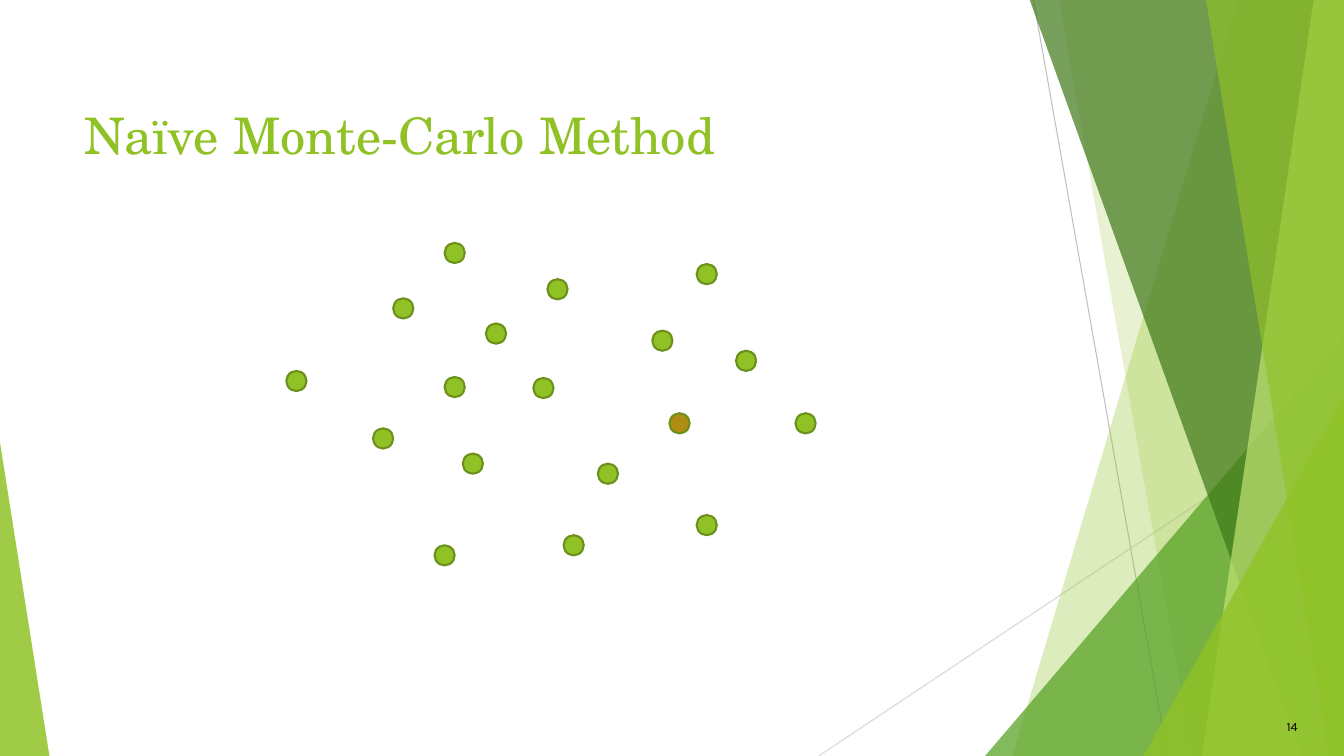
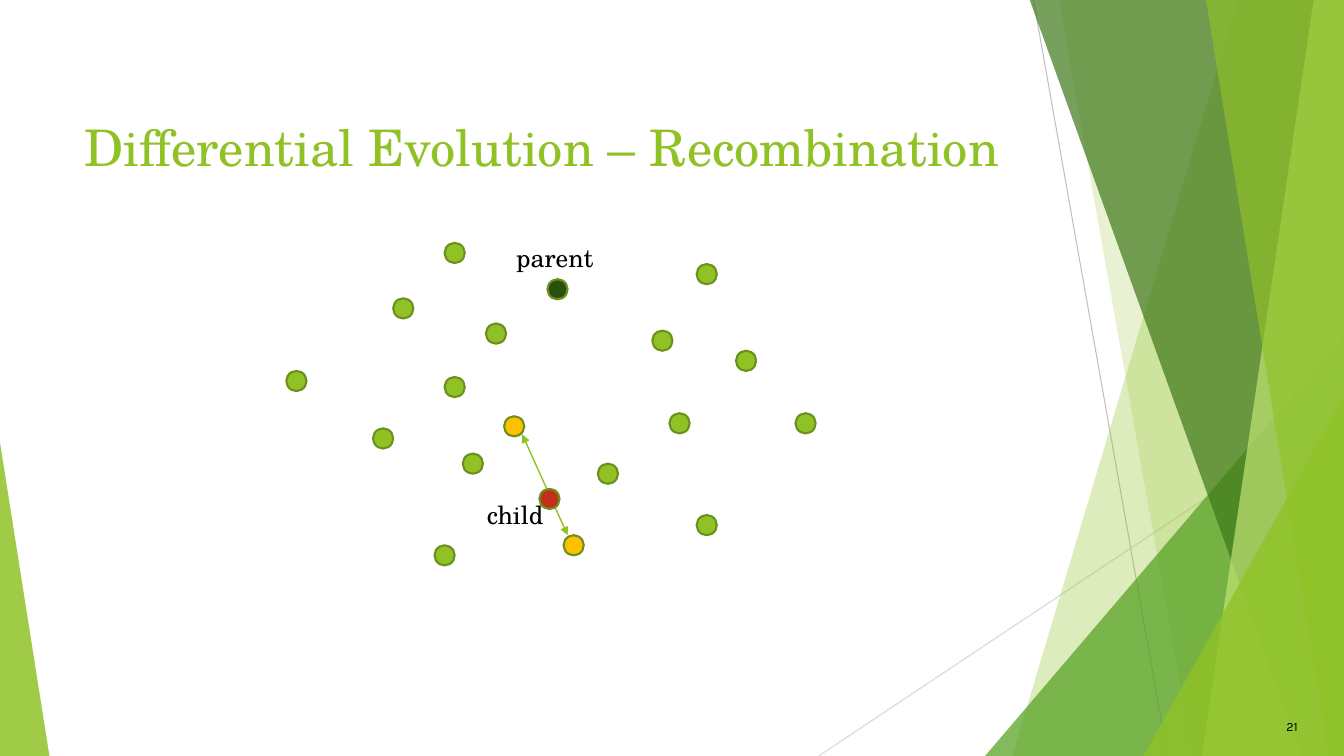
"""Two slides on sampling a population: Monte-Carlo and Differential Evolution."""
from lxml.etree import SubElement
from pptx import Presentation
from pptx.dml.color import RGBColor
from pptx.enum.shapes import MSO_CONNECTOR, MSO_SHAPE
from pptx.enum.text import MSO_ANCHOR, MSO_AUTO_SIZE, PP_ALIGN
from pptx.oxml.ns import qn
from pptx.util import Inches, Pt

WIDTH, HEIGHT, BLEED = 13.33, 7.5, -0.01
SERIF, SANS = "TeX Gyre Schola", "Karla"
LIME = RGBColor(0x90, 0xC2, 0x26)
PALE_LIME = RGBColor(0xC0, 0xE4, 0x74)
GREEN = RGBColor(0x54, 0xA0, 0x21)
DARK_GREEN = RGBColor(0x3F, 0x78, 0x19)
FOREST = RGBColor(0x2A, 0x50, 0x10)
OLIVE = RGBColor(0x6B, 0x90, 0x1C)
OCHRE = RGBColor(0xAF, 0x8C, 0x14)
AMBER = RGBColor(0xFF, 0xC0, 0x00)
RED = RGBColor(0xC4, 0x2F, 0x1A)
GREY = RGBColor(0xBF, 0xBF, 0xBF)
LIGHT_GREY = RGBColor(0xD9, 0xD9, 0xD9)
BLACK = RGBColor(0, 0, 0)

RULES = [((10.25, 0), (11.58, HEIGHT), GREY), ((WIDTH, 4.03), (8.12, HEIGHT), LIGHT_GREY)]
BANDS = [
    ("band", 12.28, 10.04, LIME, 30),
    ("band", 10.5, 11.83, LIME, 20),
    ("corner", (9.77, 3.33, 3.56), 1, GREEN, 72),
    ("band", 10.21, 12.91, DARK_GREEN, 70),
    ("band", 13.03, 11.92, PALE_LIME, 70),
    ("band", 11.96, 13.18, LIME, 65),
    ("corner", (11.34, 3.93, 1.99), 1, LIME, 80),
    ("corner", (0, 4.39, 0.49), 0, LIME, 85),
]

DOT = 0.2
PARENT, PARTNER, SAMPLE = (5.43, 2.77), (5.59, 5.31), (6.64, 4.1)
MOVED, CHILD = (5, 4.13), (5.35, 4.85)
POPULATION = [
    (3.9, 2.96), (3.7, 4.25), PARTNER, (6.91, 5.11), (4.41, 2.41), (7.89, 4.1),
    (6.47, 3.28), (4.82, 3.21), PARENT, (4.41, 3.74), (4.59, 4.5), SAMPLE,
    (2.84, 3.68), (5.93, 4.6), (4.31, 5.41), (7.3, 3.48), (6.91, 2.62),
]
SLIDES = [
    dict(title="Naïve Monte-Carlo Method", title_box=(0.74, 0.98, 9.4, 0.75), number="14",
         dots=POPULATION + [(5.29, 3.75)], marked={SAMPLE: OCHRE}, arrows=[], labels=[]),
    dict(title="Differential Evolution – Recombination", title_box=(0.74, 1.1, 9.4, 1.44),
         number="21", dots=POPULATION + [MOVED, CHILD],
         marked={PARENT: FOREST, PARTNER: AMBER, MOVED: AMBER, CHILD: RED},
         arrows=[((5.18, 4.31), (5.63, 5.31))],
         labels=[("child", (4.73, 4.9, 0.77, 0.4)), ("parent", (5.02, 2.36, 0.98, 0.4))]),
]


def write(sp, text, size=18, font=SERIF, color=BLACK, align=PP_ALIGN.LEFT,
          anchor=MSO_ANCHOR.TOP, wrap=True):
    tf = sp.text_frame
    tf.auto_size = MSO_AUTO_SIZE.NONE
    tf.word_wrap, tf.vertical_anchor = wrap, anchor
    p = tf.paragraphs[0]
    p.alignment = align
    r = p.add_run()
    r.text = text
    r.font.size, r.font.name = Pt(size), font
    r.font.color.rgb = color


def add_line(s, start, end, color, weight=0.75, arrows=False):
    line = s.shapes.add_connector(MSO_CONNECTOR.STRAIGHT, *map(Inches, start + end))
    line.line.color.rgb, line.line.width = color, Pt(weight)
    props = line.element.spPr
    if arrows:
        for tag in ("a:headEnd", "a:tailEnd"):
            SubElement(props.find(qn("a:ln")), qn(tag), type="triangle")
    SubElement(props, qn("a:effectLst"))
    return line


def paint(sp, color, alpha=100):
    sp.shadow.inherit = False
    sp.fill.solid()
    sp.fill.fore_color.rgb = color
    sp.line.fill.background()
    if alpha < 100:
        clr = sp.element.spPr.find(".//" + qn("a:srgbClr"))
        SubElement(clr, qn("a:alpha"), val=str(alpha * 1000))
    return sp


def add_band(s, top, bottom):
    outline = s.shapes.build_freeform(Inches(top), Inches(BLEED))
    corners = [(WIDTH, BLEED), (WIDTH, HEIGHT), (bottom, HEIGHT)]
    outline.add_line_segments([(Inches(x), Inches(y)) for x, y in corners])
    return outline.convert_to_shape()


def add_corner(s, place, apex):
    left, top, width = place
    sp = s.shapes.add_shape(MSO_SHAPE.ISOSCELES_TRIANGLE,
                            *map(Inches, (left, top, width, HEIGHT - top)))
    sp.adjustments[0] = apex
    return sp


def decorate(layout, s):
    """Draw the scenery on a slide, then move it behind everything on the layout."""
    parts = [add_line(s, *rule) for rule in RULES]
    for kind, first, second, color, alpha in BANDS:
        draw = add_band if kind == "band" else add_corner
        parts.append(paint(draw(s, first, second), color, alpha))
    for i, part in enumerate(parts):
        layout.shapes.element.insert(2 + i, part.element)


def add_dot(s, spot, color):
    sp = s.shapes.add_shape(MSO_SHAPE.OVAL, *map(Inches, spot + (DOT, DOT)))
    paint(sp, color)
    sp.line.color.rgb, sp.line.width = OLIVE, Pt(1.5)


def fill_slide(s, content):
    title = s.shapes.title
    title.left, title.top, title.width, title.height = map(Inches, content["title_box"])
    write(title, content["title"], size=36, color=LIME)
    for start, end in content["arrows"]:
        add_line(s, start, end, LIME, weight=1, arrows=True)
    for spot in content["dots"]:
        add_dot(s, spot, content["marked"].get(spot, LIME))
    for text, box in content["labels"]:
        write(s.shapes.add_textbox(*map(Inches, box)), text, wrap=False)
    number = s.shapes.add_textbox(*map(Inches, (12.22, 7.01, 0.75, 0.4)))
    write(number, content["number"], size=9, font=SANS, align=PP_ALIGN.RIGHT,
          anchor=MSO_ANCHOR.MIDDLE)


def main():
    prs = Presentation()
    prs.slide_width, prs.slide_height = Inches(WIDTH), Inches(HEIGHT)
    layout = prs.slide_layouts[5]
    slides = [prs.slides.add_slide(layout) for _ in SLIDES]
    decorate(layout, slides[0])
    for s, content in zip(slides, SLIDES):
        fill_slide(s, content)
    prs.save("out.pptx")


if __name__ == "__main__":
    main()
